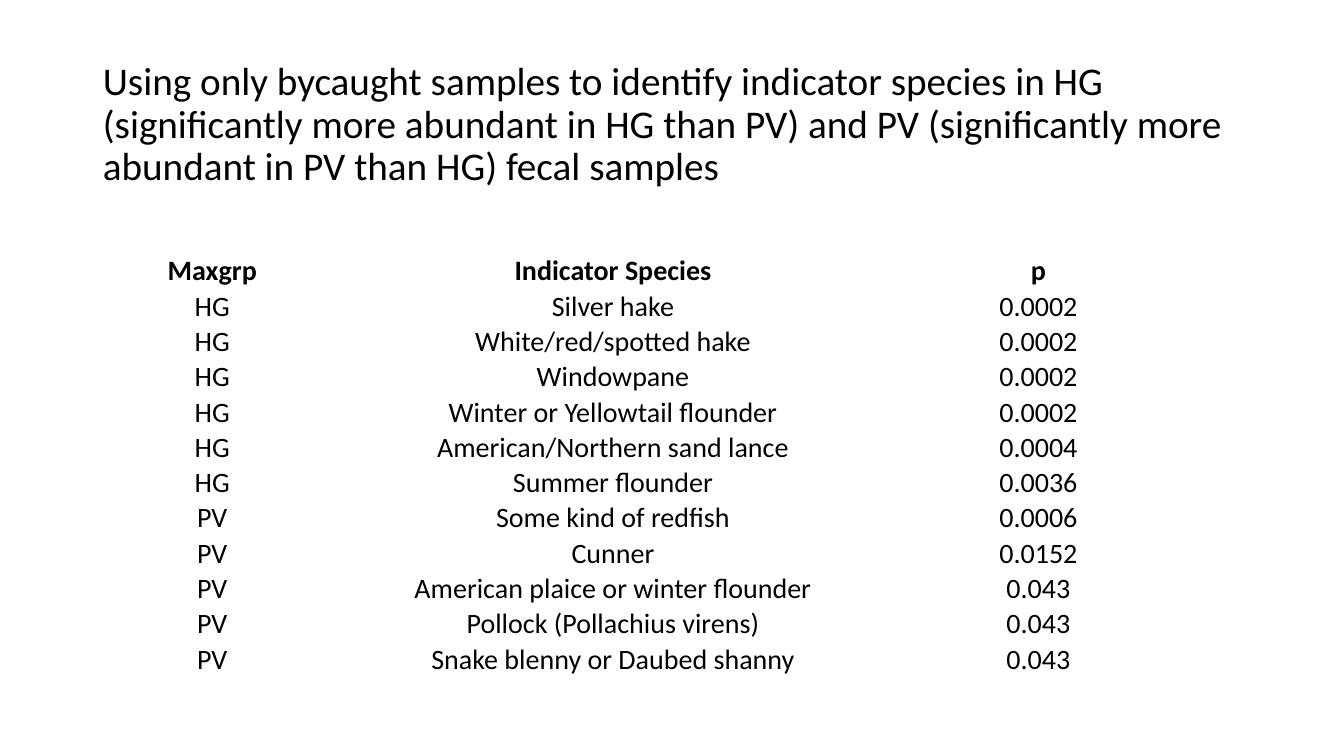
"""Build a slide listing indicator species for HG and PV fecal samples."""
from typing import NamedTuple

from pptx import Presentation
from pptx.dml.color import RGBColor
from pptx.enum.text import MSO_ANCHOR, MSO_AUTO_SIZE, PP_ALIGN
from pptx.slide import Slide
from pptx.util import Inches, Pt

BLACK = RGBColor(0x00, 0x00, 0x00)
FONT = "Calibri"
TITLE = (
    "Using only bycaught samples to identify indicator species in HG "
    "(significantly more abundant in HG than PV) and PV "
    "(significantly more abundant in PV than HG) fecal samples"
)
WIDTHS = (2.09, 5.86, 2.58)
ROW = 0.34
PAD = 0.01


class Entry(NamedTuple):
    group: str
    species: str
    p: str


ENTRIES = (
    Entry("Maxgrp", "Indicator Species", "p"),
    Entry("HG", "Silver hake", "0.0002"),
    Entry("HG", "White/red/spotted hake", "0.0002"),
    Entry("HG", "Windowpane", "0.0002"),
    Entry("HG", "Winter or Yellowtail flounder", "0.0002"),
    Entry("HG", "American/Northern sand lance", "0.0004"),
    Entry("HG", "Summer flounder", "0.0036"),
    Entry("PV", "Some kind of redfish", "0.0006"),
    Entry("PV", "Cunner", "0.0152"),
    Entry("PV", "American plaice or winter flounder", "0.043"),
    Entry("PV", "Pollock (Pollachius virens)", "0.043"),
    Entry("PV", "Snake blenny or Daubed shanny", "0.043"),
)


def write(frame, text: str, size: int, align: PP_ALIGN, bold: bool = False) -> None:
    para = frame.paragraphs[0]
    para.alignment = align
    run = para.add_run()
    run.text = text
    font = run.font
    font.name, font.size, font.bold = FONT, Pt(size), bold
    font.color.rgb = BLACK


def add_title(slide: Slide) -> None:
    title = slide.shapes.title
    title.left, title.top = Inches(0.92), Inches(0.52)
    title.width, title.height = Inches(11.5), Inches(1.45)
    frame = title.text_frame
    frame.word_wrap = True
    frame.auto_size = MSO_AUTO_SIZE.NONE
    frame.vertical_anchor = MSO_ANCHOR.MIDDLE
    write(frame, TITLE, 28, PP_ALIGN.LEFT)
    frame.paragraphs[0].line_spacing = 0.9


def add_species(slide: Slide) -> None:
    count = len(ENTRIES)
    table = slide.shapes.add_table(
        count, len(WIDTHS), Inches(1.06), Inches(2.51),
        Inches(sum(WIDTHS)), Inches(ROW * count),
    ).table
    table.first_row = table.horz_banding = False
    for column, width in zip(table.columns, WIDTHS):
        column.width = Inches(width)
    for index, (row, entry) in enumerate(zip(table.rows, ENTRIES)):
        row.height = Inches(ROW)
        for cell, text in zip(row.cells, entry):
            cell.fill.background()
            cell.margin_left = cell.margin_right = cell.margin_top = Inches(PAD)
            cell.margin_bottom = Inches(0)
            cell.vertical_anchor = MSO_ANCHOR.BOTTOM
            write(cell.text_frame, text, 20, PP_ALIGN.CENTER, index == 0)


def main() -> None:
    deck = Presentation()
    deck.slide_width, deck.slide_height = Inches(13.33), Inches(7.5)
    slide = deck.slides.add_slide(deck.slide_layouts[5])
    add_title(slide)
    add_species(slide)
    deck.save("out.pptx")


if __name__ == "__main__":
    main()
